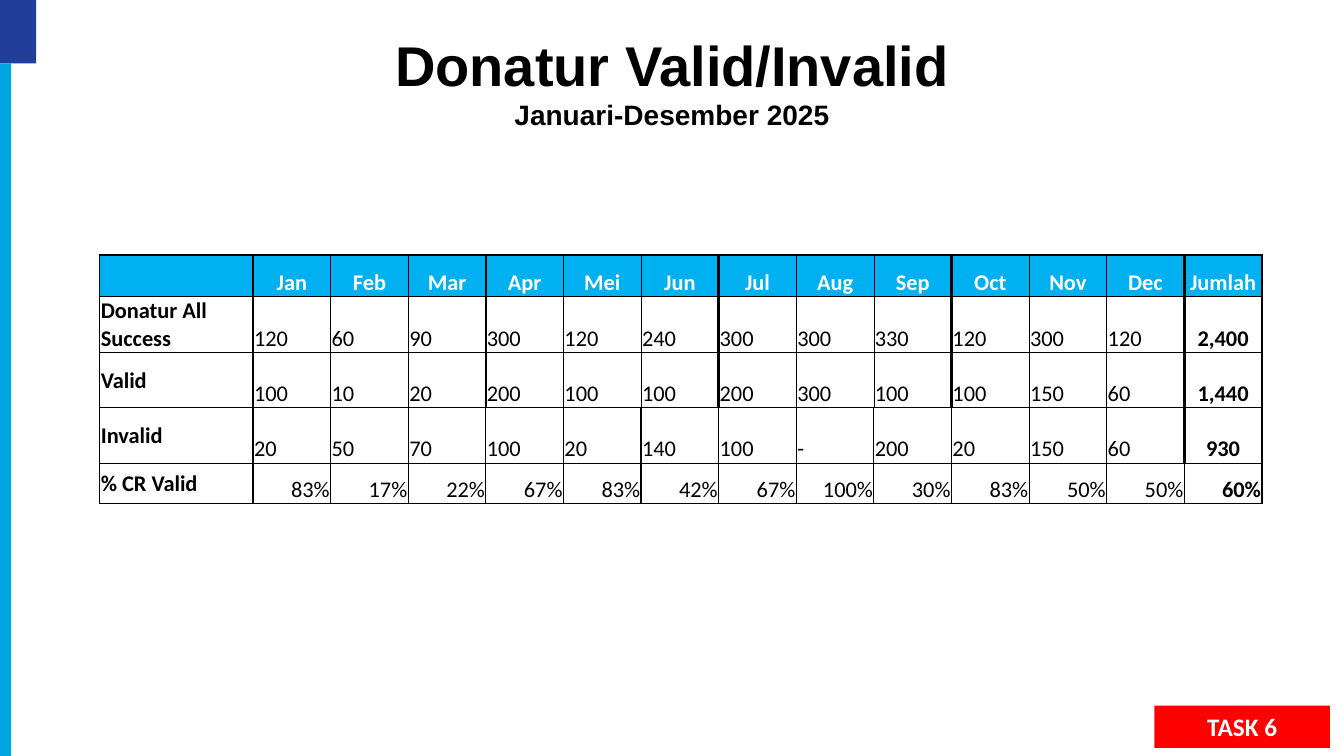
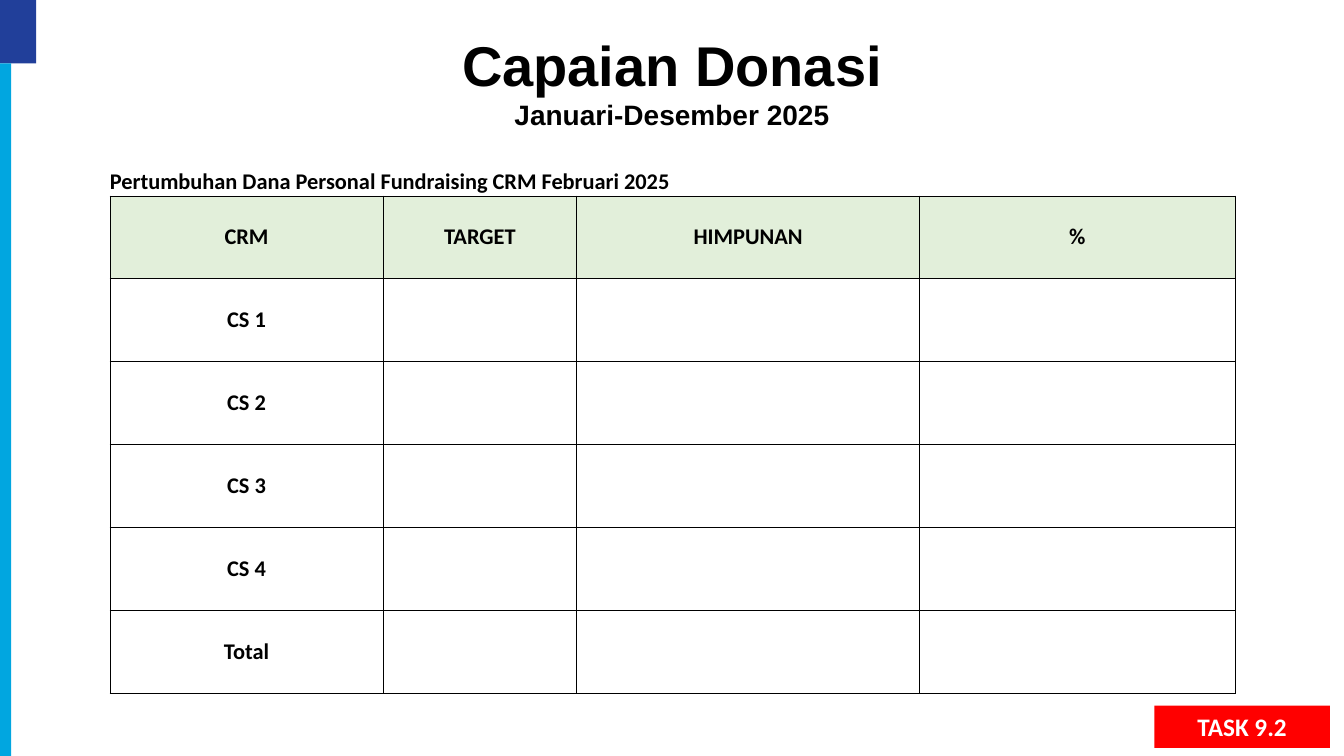
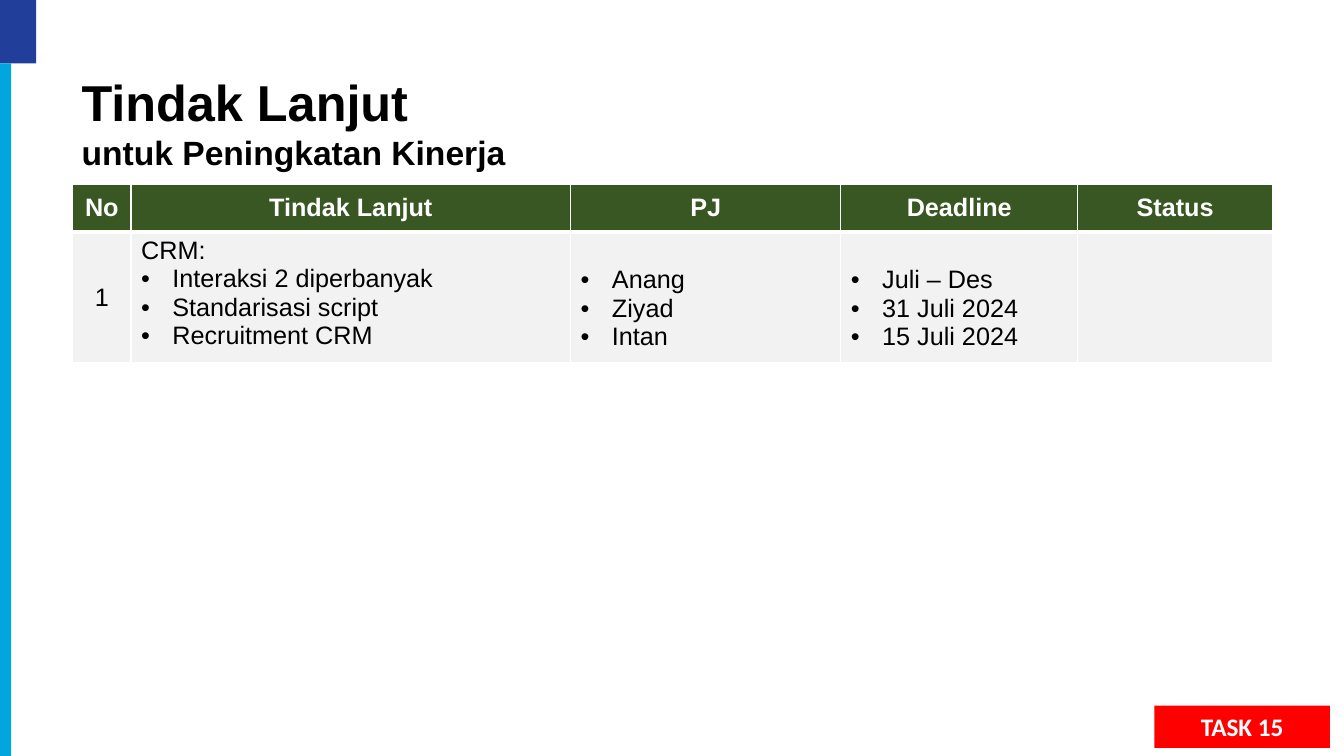
from dataclasses import dataclass, replace
from typing import NamedTuple

from lxml.etree import SubElement
from pptx import Presentation
from pptx.dml.color import RGBColor
from pptx.enum.shapes import MSO_SHAPE as Preset
from pptx.enum.text import MSO_ANCHOR as Anchor, MSO_AUTO_SIZE as AutoSize, PP_ALIGN as Align
from pptx.oxml.ns import qn
from pptx.util import Inches, Pt

SLIDE_W, SLIDE_H = 13.33, 7.5
TITLE_ONLY = 5
COLORS = {
    "text": "000000",
    "light": "FFFFFF",
    "navy": "213F9A",
    "cyan": "01A6E0",
    "tag": "FF0000",
    "months": "00B0F0",
    "targets": "E2EFDA",
    "actions": "385723",
    "action_row": "F2F2F2",
}


class Box(NamedTuple):
    left: float
    top: float
    width: float
    height: float

    def lengths(self):
        return [Inches(length) for length in self]


@dataclass(frozen=True)
class CellStyle:
    font: str = "Calibri"
    size: int = 16
    color: str = "text"
    bold: bool = True
    fill: str = ""
    align: Align = Align.LEFT
    anchor: Anchor = Anchor.MIDDLE
    insets: tuple = (0, 0, 0, 0)  # left, top, right, bottom


def rgb(name):
    return RGBColor.from_string(COLORS[name])


def add_span(para, text, font, size, color="text", bold=True):
    span = para.add_run()
    span.text = text
    span.font.name = font
    span.font.size = Pt(size)
    span.font.bold = bold
    span.font.color.rgb = rgb(color)


def add_bullet(para, indent=0.31):
    props = para._p.get_or_add_pPr()
    props.set("marL", str(Inches(indent)))
    props.set("indent", str(-Inches(indent)))
    SubElement(props, qn("a:buFont"), typeface="Arial")
    SubElement(props, qn("a:buChar"), char="•")


def add_block(shapes, box, color):
    block = shapes.add_shape(Preset.RECTANGLE, *box.lengths())
    block.shadow.inherit = False
    block.fill.solid()
    block.fill.fore_color.rgb = rgb(color)
    block.line.fill.background()
    return block


def add_side_band(page, corner_height=0.63):
    band = page.shapes.add_group_shape()
    add_block(band.shapes, Box(-0.01, 0, 0.37, corner_height), "navy")
    add_block(band.shapes, Box(0, corner_height, 0.11, SLIDE_H - corner_height), "cyan")


def add_task_tag(page, text):
    width, height = 1.74, 0.42
    tag = add_block(page.shapes, Box(SLIDE_W - width - 0.14, SLIDE_H - height - 0.08, width, height), "tag")
    tag.text_frame.vertical_anchor = Anchor.MIDDLE
    para = tag.text_frame.paragraphs[0]
    para.alignment = Align.CENTER
    add_span(para, text, "Calibri", 18, "light")


def set_title(page, box, lines, align):
    """Fill the title placeholder with (text, size) lines."""
    title = page.shapes.title
    title.left, title.top, title.width, title.height = box.lengths()
    frame = title.text_frame
    frame.word_wrap = True
    frame.auto_size = AutoSize.NONE
    frame.vertical_anchor = Anchor.TOP
    for index, (text, size) in enumerate(lines):
        para = frame.add_paragraph() if index else frame.paragraphs[0]
        para.alignment = align
        add_span(para, text, "Arial", size)


def add_page(deck, task, title_box, lines, align=Align.CENTER):
    page = deck.slides.add_slide(deck.slide_layouts[TITLE_ONLY])
    set_title(page, title_box, lines, align)
    add_task_tag(page, task)
    add_side_band(page)
    return page


def add_grid(page, box, columns, rows):
    """Add a table whose columns and rows share the box by weight."""
    table = page.shapes.add_table(len(rows), len(columns), *box.lengths()).table
    table.first_row = table.horz_banding = False
    for column, weight in zip(table.columns, columns):
        column.width = Inches(box.width * weight / sum(columns))
    for row, weight in zip(table.rows, rows):
        row.height = Inches(box.height * weight / sum(rows))
    return table


def set_borders(cell, widths, color="text"):
    """Draw left, right, top and bottom lines; a width of 0 hides the line."""
    props = cell._tc.get_or_add_tcPr()
    for side, width in zip("LRTB", widths):
        line = SubElement(props, qn(f"a:ln{side}"), w=str(Pt(width)))
        if width:
            solid = SubElement(line, qn("a:solidFill"))
            SubElement(solid, qn("a:srgbClr"), val=COLORS[color])
        else:
            SubElement(line, qn("a:noFill"))


def fill_cell(cell, lines, style):
    """Write the lines; those that start with a bullet get a hanging indent."""
    if style.fill:
        cell.fill.solid()
        cell.fill.fore_color.rgb = rgb(style.fill)
    else:
        cell.fill.background()
    cell.vertical_anchor = style.anchor
    (cell.margin_left, cell.margin_top,
     cell.margin_right, cell.margin_bottom) = [Inches(inset) for inset in style.insets]
    for index, text in enumerate(lines):
        para = cell.text_frame.add_paragraph() if index else cell.text_frame.paragraphs[0]
        para.alignment = style.align
        if text.startswith("•"):
            add_bullet(para)
        if text:
            add_span(para, text.lstrip("•"), style.font, style.size, style.color, style.bold)


def month_borders(row, column, last_column):
    """Mark off quarters with heavy lines, and the outer columns with medium ones."""
    def edge(index):
        if index == last_column or (row < 3 and index in (4, 7, 10)):
            return 2 if row < 4 else 1
        if index in (0, 1, last_column + 1) or row > 2:
            return 1
        return 0.5

    top = 1 if row < 2 else 0.5
    bottom = 1 if row == 0 else 0.5
    return edge(column), edge(column + 1), top, bottom


def add_month_table(page, box):
    records = [
        ["", "Jan", "Feb", "Mar", "Apr", "Mei", "Jun", "Jul", "Aug", "Sep", "Oct", "Nov", "Dec", "Jumlah"],
        ["Donatur All Success", "120", "60", "90", "300", "120", "240", "300", "300", "330", "120", "300",
         "120", "2,400"],
        ["Valid", "100", "10", "20", "200", "100", "100", "200", "300", "100", "100", "150", "60", "1,440"],
        ["Invalid", "20", "50", "70", "100", "20", "140", "100", "-", "200", "20", "150", "60", "930"],
        ["% CR Valid", "83%", "17%", "22%", "67%", "83%", "42%", "67%", "100%", "30%", "83%", "50%", "50%",
         "60%"],
    ]
    label = CellStyle(insets=(0.01, 0.01, 0.01, 0))
    total = replace(label, anchor=Anchor.BOTTOM, align=Align.CENTER)
    header = replace(total, color="light", fill="months")
    last_row, last_column = len(records) - 1, len(records[0]) - 1
    table = add_grid(page, box, [1.52] + [0.77] * last_column, [0.41, 0.55, 0.55, 0.55, 0.4])
    for row, record in enumerate(records):
        for column, text in enumerate(record):
            if row == 0:
                style = header
            elif column == 0:
                style = label
            else:
                plain = replace(total, align=Align.LEFT, bold=False)
                style = total if column == last_column else plain
                if row == last_row:
                    style = replace(style, align=Align.RIGHT)
            cell = table.cell(row, column)
            set_borders(cell, month_borders(row, column, last_column))
            fill_cell(cell, [text], style)


def add_target_table(page, box):
    headers = ["CRM", "TARGET", "HIMPUNAN", "%"]
    names = ["CS 1", "CS 2", "CS 3", "CS 4", "Total"]
    records = [headers] + [[name, "", "", ""] for name in names]
    body = CellStyle(align=Align.CENTER)
    table = add_grid(page, box, [2.71, 1.92, 3.4, 3.13], [1] * (len(records) + 1))
    caption = table.cell(0, 0)
    caption.merge(table.cell(0, len(headers) - 1))
    for column in range(len(headers)):
        set_borders(table.cell(0, column), (0, 0, 0, 0.5))
    fill_cell(caption, ["Pertumbuhan Dana Personal Fundraising CRM Februari 2025"],
              CellStyle(anchor=Anchor.BOTTOM))
    for row, record in enumerate(records, 1):
        for column, text in enumerate(record):
            cell = table.cell(row, column)
            set_borders(cell, [0.5] * 4)
            fill_cell(cell, [text], replace(body, fill="targets") if row == 1 else body)


def add_action_table(page, box):
    headers = ["No", "Tindak Lanjut", "PJ", "Deadline", "Status"]
    actions = ["CRM:", "•Interaksi 2 diperbanyak", "•Standarisasi script", "•Recruitment CRM"]
    people = ["•Anang", "•Ziyad", "•Intan"]
    deadlines = ["•Juli – Des", "•31 Juli 2024", "•15 Juli 2024"]
    header = CellStyle("Arial", 18, "light", fill="actions", align=Align.CENTER,
                       insets=(0.1, 0.05, 0.1, 0.05))
    number = replace(header, color="text", bold=False, fill="action_row")
    first = replace(number, align=Align.LEFT, anchor=Anchor.TOP)
    beside = replace(first, insets=(0.1, 0.34, 0.1, 0.05))  # starts one line lower
    body = [(["1"], number), (actions, first), (people, beside), (deadlines, beside), ([""], first)]
    table = add_grid(page, box, [0.58, 4.36, 2.68, 2.35, 1.93], [0.47, 1.3])
    for column, (text, (lines, style)) in enumerate(zip(headers, body)):
        top, bottom = table.cell(0, column), table.cell(1, column)
        set_borders(top, (1, 1, 1, 3), "light")
        set_borders(bottom, (1, 1, 3, 1), "light")
        fill_cell(top, [text], header)
        fill_cell(bottom, lines, style)


def main():
    deck = Presentation()
    deck.slide_width, deck.slide_height = Inches(SLIDE_W), Inches(SLIDE_H)
    centred = Box(1.75, 0.25, SLIDE_W - 2 * 1.75, 1.11)
    period = ("Januari-Desember 2025", 20)

    page = add_page(deck, "TASK 6", centred, [("Donatur Valid/Invalid", 40), period])
    add_month_table(page, Box(0.99, 2.53, 11.53, 2.46))

    page = add_page(deck, "TASK 9.2", centred, [("Capaian Donasi", 40), period])
    add_target_table(page, Box(1.09, 1.12, 11.16, 5.76))

    page = add_page(deck, "TASK 15", Box(0.71, 0.66, SLIDE_W - 0.71, 1.11),
                    [("Tindak Lanjut", 36), ("untuk Peningkatan Kinerja", 24)], Align.LEFT)
    add_action_table(page, Box(0.72, 1.83, 11.9, 1.77))

    deck.save("out.pptx")


if __name__ == "__main__":
    main()
